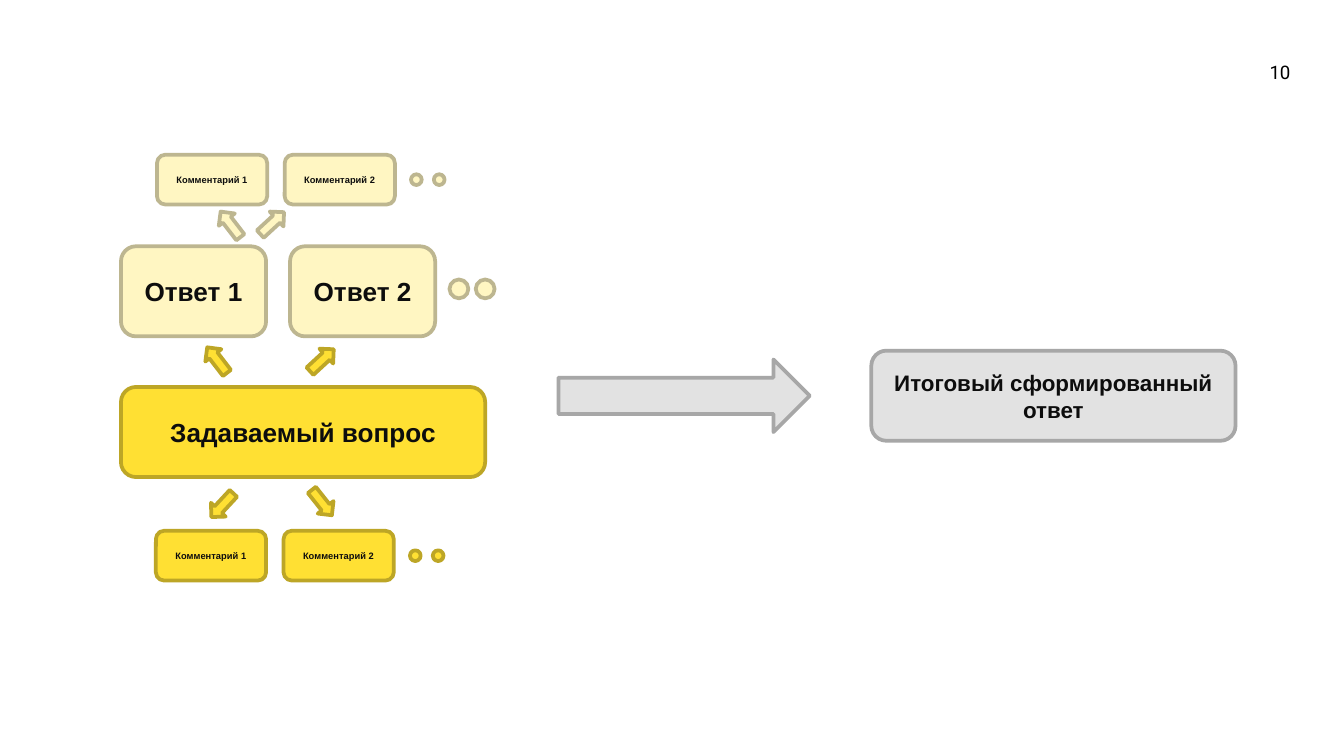
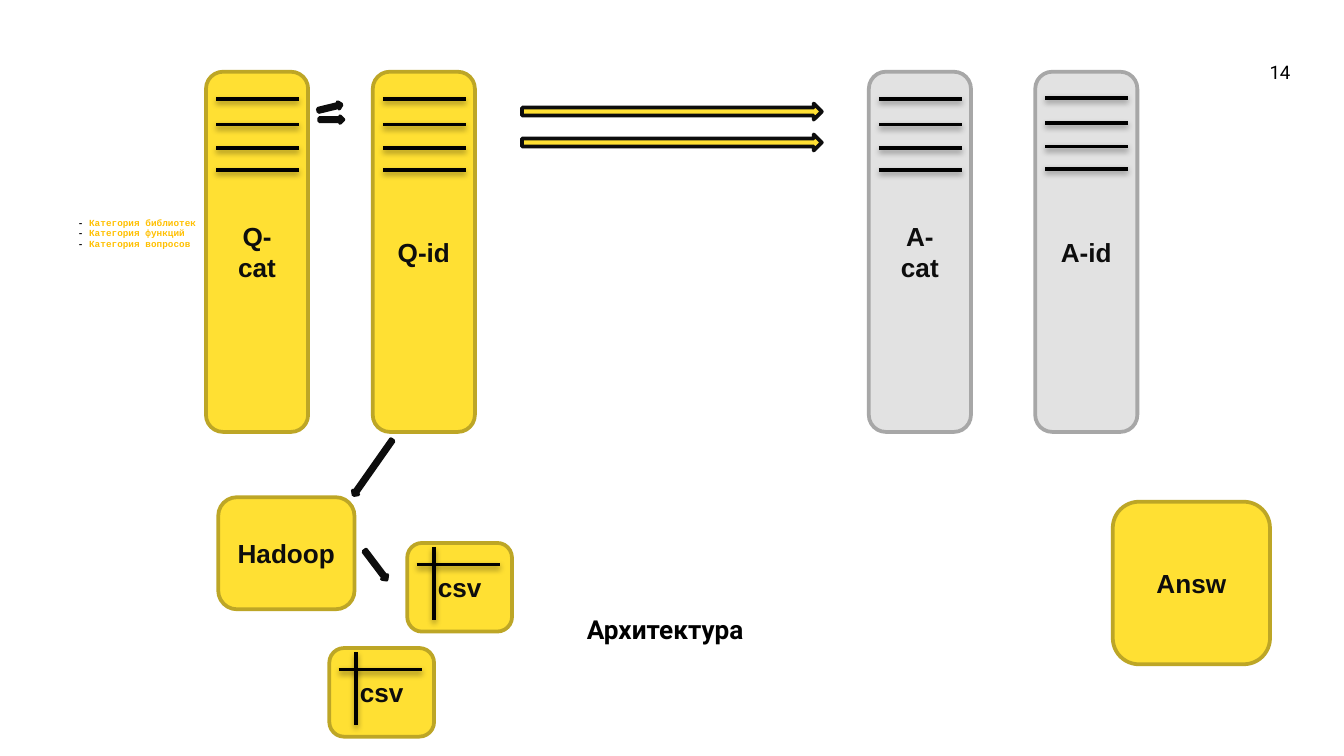
from lxml import etree
from pptx import Presentation
from pptx.dml.color import RGBColor
from pptx.enum.shapes import MSO_CONNECTOR, MSO_SHAPE
from pptx.enum.text import MSO_ANCHOR, PP_ALIGN
from pptx.oxml.ns import qn
from pptx.util import Inches, Pt

ROUND = MSO_SHAPE.ROUNDED_RECTANGLE
DOT = MSO_SHAPE.OVAL
ARROW = MSO_SHAPE.DOWN_ARROW
LINE = MSO_CONNECTOR.STRAIGHT
MID, TOP = MSO_ANCHOR.MIDDLE, MSO_ANCHOR.TOP
LEFT, CENTER, RIGHT = PP_ALIGN.LEFT, PP_ALIGN.CENTER, PP_ALIGN.RIGHT

# A 16:9 slide as a grid of 100 square columns; all places are in cells
WIDE = Inches(10)
HIGH = WIDE * 9 // 16
CELL = WIDE / 100

HEX = {"ink": "0D0D0D", "black": "000000", "amber": "FFC000",
       "sun": "FFE033", "sun_edge": "BDA626",
       "pale": "FFF6C2", "pale_edge": "BDB690",
       "gray": "E2E2E2", "gray_edge": "A7A7A7"}
SUN = ("sun", "sun_edge")
PALE = ("pale", "pale_edge")
GRAY = ("gray", "gray_edge")
DARK = ("sun", "ink")
EDGE = Pt(2)


def cells(*nums):
    return [round(n * CELL) for n in nums]


def color(name):
    return RGBColor.from_string(HEX[name])


def set_all(item, vals):
    for key, val in vals.items():
        setattr(item, key, val)


def write(par, text, size, name="Arial", ink="ink", bold=True):
    run = par.add_run()
    run.text = text
    set_all(run.font, {"size": Pt(size), "name": name, "bold": bold})
    run.font.color.rgb = color(ink)


def draw(slide, kind, at, tone, turn=0):
    item = slide.shapes.add_shape(kind, *cells(*at))
    item.shadow.inherit = False
    item.rotation = turn
    item.fill.solid()
    item.fill.fore_color.rgb = color(tone[0])
    item.line.color.rgb = color(tone[1])
    item.line.width = EDGE
    return item


def card(slide, text, at, tone, size=14):
    frame = draw(slide, ROUND, at, tone).text_frame
    set_all(frame, {"word_wrap": True, "vertical_anchor": MID})
    par = frame.paragraphs[0]
    par.alignment = CENTER
    write(par, text, size)


def area(slide, at, pad, anchor=TOP):
    """Add a wrapped text box with equal insets and return its frame."""
    frame = slide.shapes.add_textbox(*cells(*at)).text_frame
    set_all(frame, {"word_wrap": True, "vertical_anchor": anchor})
    sides = ("left", "right", "top", "bottom")
    set_all(frame, {f"margin_{side}": Inches(pad) for side in sides})
    return frame


def number(slide, text):
    par = area(slide, (91, 3.2, 6, 4.3), 0.1, MID).paragraphs[0]
    par.alignment = RIGHT
    write(par, text, 10, "Roboto", "black", False)


def rule(slide, x, y, dx, dy):
    """Draw a black line with a soft shadow below it."""
    item = slide.shapes.add_connector(LINE, *cells(x, y, x + dx, y + dy))
    item.line.color.rgb = color("black")
    item.line.width = EDGE
    fx = etree.SubElement(item._element.spPr, qn("a:effectLst"))
    glow = etree.SubElement(fx, qn("a:outerShdw"), blurRad=str(Pt(3.1)),
                            dist=str(Pt(1.6)), dir="5400000", rotWithShape="0")
    tint = etree.SubElement(glow, qn("a:srgbClr"), val=HEX["black"])
    etree.SubElement(tint, qn("a:alpha"), val="38000")


def notes(slide, x, y, tone):
    """Two small comment cards, then two dots for more of them."""
    for i in range(2):
        card(slide, f"Комментарий {i + 1}", (x + 9.5 * i, y, 8.2, 3.7), tone, 5)
        draw(slide, DOT, (x + 18.9 + 1.7 * i, y + 1.45, 0.8, 0.8), tone)


def tower(slide, text, x, tone, lift=0.0):
    card(slide, text, (x, 5.34, 7.6, 26.8), tone)
    for y in (7.37, 9.27, 11, 12.65):
        rule(slide, x + 0.75, y - lift, 6.15, 0)


def sheet(slide, x, y):
    """A csv card with a table's head row and first column."""
    card(slide, "csv", (x, y, 7.8, 6.6), SUN)
    rule(slide, x + 0.7, y + 1.6, 6.2, 0)
    rule(slide, x + 2, y + 0.3, 0, 5.4)


def flow(slide):
    number(slide, "10")
    # Question, answers and result
    card(slide, "Задаваемый вопрос", (9, 28.8, 27.1, 6.7), SUN)
    card(slide, "Итоговый сформированный ответ", (64.83, 26.1, 27.1, 6.7), GRAY, 12)
    for i in range(2):
        card(slide, f"Ответ {i + 1}", (9 + 12.58 * i, 18.33, 10.8, 6.7), PALE)
        draw(slide, DOT, (33.45 + 1.95 * i, 20.8, 1.4, 1.4), PALE)
    # Comments below and above
    notes(slide, 11.6, 39.5, SUN)
    notes(slide, 11.68, 11.52, PALE)
    # Arrows
    draw(slide, ARROW, (48.2, 20.1, 5.4, 18.7), GRAY, 270)
    for x, y, turn, tone in ((15.8, 36.4, 42.9, SUN), (23.2, 36.2, 321.6, SUN),
                             (15.4, 25.6, 142.4, SUN), (23.2, 25.6, 227.3, SUN),
                             (16.4, 15.5, 142.4, PALE), (19.5, 15.4, 227.3, PALE)):
        draw(slide, ARROW, (x, y, 1.5, 2.4), tone, turn)


def design(slide):
    number(slide, "14")
    par = area(slide, (4.5, 44.8, 90, 8.3), 0.1).paragraphs[0]
    set_all(par, {"alignment": CENTER, "line_spacing": 0.95})
    write(par, "Архитектура", 14, "Roboto", "black")
    # Index towers
    tower(slide, "Q-cat", 15.33, SUN)
    tower(slide, "Q-id", 27.74, SUN)
    tower(slide, "A- cat", 64.65, GRAY)
    tower(slide, "A-id", 77.03, GRAY, 0.1)
    # Storage and answer
    card(slide, "Hadoop", (16.24, 37, 10.14, 8.34), SUN)
    card(slide, "Answ", (82.8, 37.33, 11.7, 12.1), SUN)
    sheet(slide, 30.3, 40.4)
    sheet(slide, 24.5, 48.22)
    # Arrows
    for x, y, wide, long, turn in ((24.3, 7.1, 0.5, 1.8, 256.2),
                                   (24.4, 8, 0.5, 1.8, 270),
                                   (27.5, 32.3, 0.5, 5, 35.1),
                                   (27.7, 40.7, 0.5, 2.7, 322.9),
                                   (49.4, -2.85, 1.2, 22.3, 270),
                                   (49.4, -0.55, 1.2, 22.3, 270)):
        draw(slide, ARROW, (x, y, wide, long), DARK, turn)
    # Category list
    frame = area(slide, (4.1, 16, 30, 8.3), 0.02)
    for i, word in enumerate(("библиотек", "функций", "вопросов")):
        par = frame.add_paragraph() if i else frame.paragraphs[0]
        set_all(par, {"alignment": LEFT, "line_spacing": 0.95})
        par._p.get_or_add_pPr().set("marL", str(Inches(0.15)))
        write(par, "- ", 5, "Courier New")
        write(par, f"Категория {word}", 5, "Courier New", "amber")


def main():
    deck = Presentation()
    set_all(deck, {"slide_width": WIDE, "slide_height": HIGH})
    for fill in (flow, design):
        fill(deck.slides.add_slide(deck.slide_layouts[6]))
    deck.save("out.pptx")


if __name__ == "__main__":
    main()
